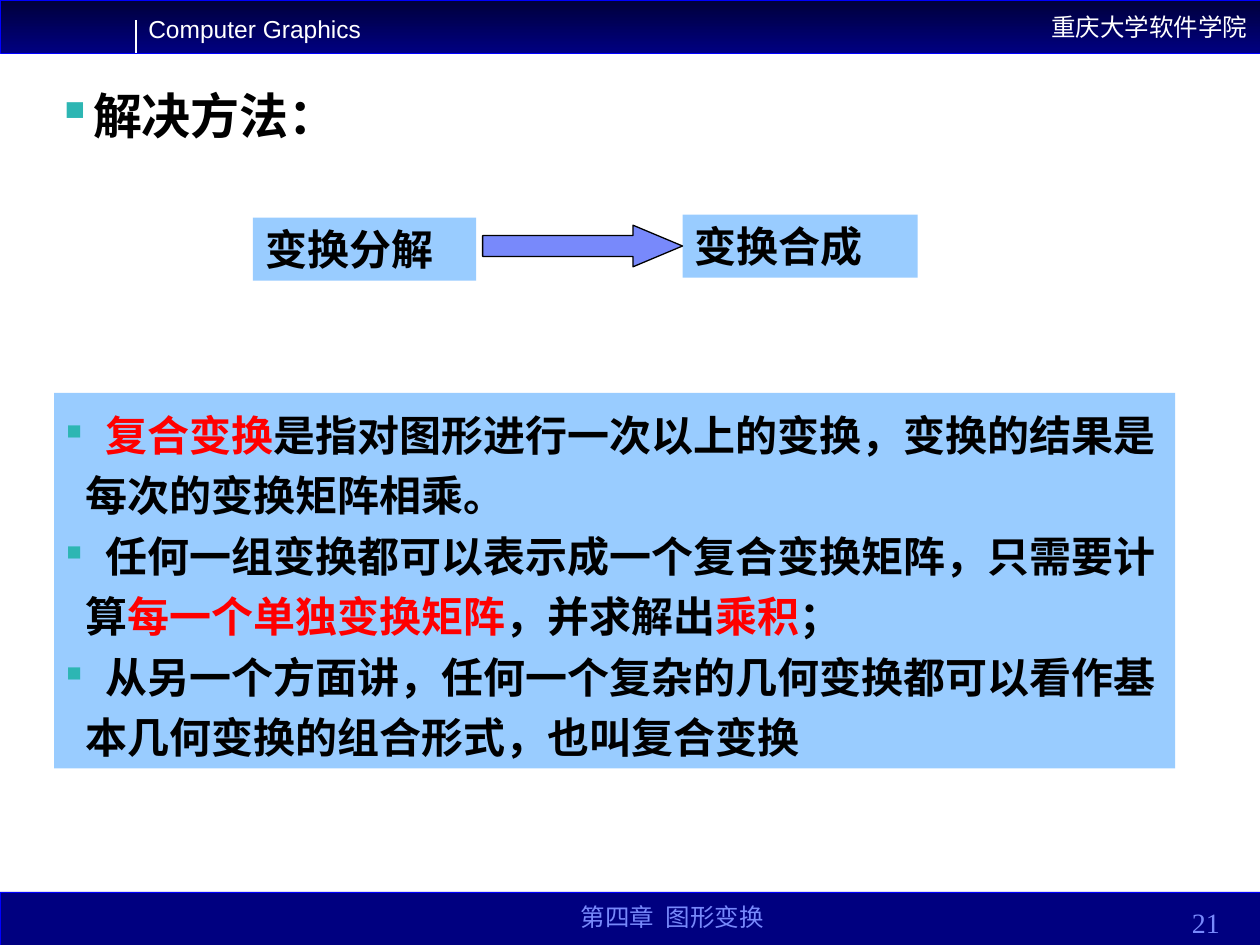
import pptx
import pptx.util
import pptx.dml.color
import pptx.enum.shapes
import pptx.enum.text
import pptx.oxml.ns
import lxml.etree

Cm = pptx.util.Cm
Pt = pptx.util.Pt
qn = pptx.oxml.ns.qn
SHAPES = pptx.enum.shapes.MSO_SHAPE
ALIGN = pptx.enum.text.PP_ALIGN
ANCHOR = pptx.enum.text.MSO_ANCHOR

COLORS = {
    "navy": "000080",
    "midnight": "00003B",
    "edge": "0000FF",
    "sky": "99CCFF",
    "violet": "7889FB",
    "teal": "2DB6B3",
    "red": "FF0000",
    "black": "000000",
    "white": "FFFFFF",
}
CJK = "Noto Sans CJK SC"
SERIF = "Times New Roman"

EXPLANATION = [
    (True, [(" 复合变换", "red"),
            ("是指对图形进行一次以上的变换，变换的结果是", "black")]),
    (False, [("每次的变换矩阵相乘。", "black")]),
    (True, [(" 任何一组变换都可以表示成一个复合变换矩阵，只需要计", "black")]),
    (False, [("算", "black"), ("每一个单独变换矩阵", "red"),
             ("，并求解出", "black"), ("乘积", "red"), ("；", "black")]),
    (True, [(" 从另一个方面讲，任何一个复杂的几何变换都可以看作基", "black")]),
    (False, [("本几何变换的组合形式，也叫复合变换", "black")]),
]


def rgb(name):
    return pptx.dml.color.RGBColor.from_string(COLORS[name])


def add_block(slide, box, fill, edge=None, width=0.25, kind=SHAPES.RECTANGLE):
    block = slide.shapes.add_shape(kind, *map(Cm, box))
    block.shadow.inherit = False
    block.fill.solid()
    block.fill.fore_color.rgb = rgb(fill)
    if edge:
        block.line.color.rgb = rgb(edge)
        block.line.width = Pt(width)
    else:
        block.line.fill.background()
    return block


def add_run(paragraph, text, size, font, color, bold=False):
    run = paragraph.add_run()
    run.text = text
    run.font.size = Pt(size)
    run.font.name = font
    run.font.bold = bold
    run.font.color.rgb = rgb(color)
    east_asian = lxml.etree.SubElement(run.font._element, qn("a:ea"))
    east_asian.set("typeface", CJK)


def set_frame(holder, anchor=ANCHOR.TOP):
    frame = holder.text_frame
    frame.word_wrap = True
    frame.vertical_anchor = anchor
    return frame


def write_line(holder, text, size, font, color, align=ALIGN.LEFT,
               anchor=ANCHOR.TOP, bold=False):
    paragraph = set_frame(holder, anchor).paragraphs[0]
    paragraph.alignment = align
    add_run(paragraph, text, size, font, color, bold)
    return paragraph


def add_label(slide, box, *args, **kwargs):
    label = slide.shapes.add_textbox(*map(Cm, box))
    return write_line(label, *args, **kwargs)


def set_indent(paragraph, left, bullet=None, percent=100):
    properties = paragraph._p.get_or_add_pPr()
    properties.set("marL", str(Cm(left)))
    properties.set("indent", str(-Cm(left) if bullet else 0))
    if bullet:
        color = lxml.etree.SubElement(properties, qn("a:buClr"))
        lxml.etree.SubElement(color, qn("a:srgbClr")).set("val", COLORS["teal"])
        size = lxml.etree.SubElement(properties, qn("a:buSzPct"))
        size.set("val", str(percent * 1000))
        lxml.etree.SubElement(properties, qn("a:buChar")).set("char", bullet)


def add_bands(slide):
    header = add_block(slide, (0, 0, 25.4, 1.07), "navy", "edge")
    header.fill.gradient()
    header.fill.gradient_angle = 270
    for stop, color in zip(header.fill.gradient_stops, ("midnight", "navy")):
        stop.color.rgb = rgb(color)
    write_line(header, "重庆大学软件学院", 14, "Arial", "white",
               ALIGN.RIGHT, ANCHOR.MIDDLE)
    add_block(slide, (0, 17.98, 25.4, 1.07), "navy", "edge")
    add_label(slide, (2.74, 0.15, 4.8, 0.86), "Computer Graphics",
              14, "Arial", "white")
    divider = slide.shapes.add_connector(
        pptx.enum.shapes.MSO_CONNECTOR.STRAIGHT,
        Cm(2.74), Cm(0.41), Cm(2.74), Cm(1.07))
    divider.line.color.rgb = rgb("white")
    divider.line.width = Pt(0.75)
    lxml.etree.SubElement(divider._element.spPr, qn("a:effectLst"))
    add_label(slide, (9.53, 17.93, 8.05, 0.97), "第四章  图形变换", 14, SERIF,
              "violet", ALIGN.CENTER, ANCHOR.BOTTOM)
    add_label(slide, (22.3, 18.08, 2.54, 0.97), "21", 16, SERIF,
              "violet", ALIGN.RIGHT, ANCHOR.BOTTOM)


def add_steps(slide):
    for text, box in (("变换分解", (5.1, 4.39, 4.5, 1.27)),
                      ("变换合成", (13.76, 4.33, 4.74, 1.27))):
        write_line(add_block(slide, box, "sky"), text, 24, SERIF, "black",
                   bold=True)
    arrow = add_block(slide, (9.73, 4.54, 4.03, 0.84), "violet", "black", 0.75,
                      SHAPES.RIGHT_ARROW)
    arrow.adjustments[0] = 0.5
    arrow.adjustments[1] = 1.19


def add_explanation(slide):
    panel = add_block(slide, (1.09, 7.92, 22.6, 7.57), "sky")
    frame = set_frame(panel, ANCHOR.MIDDLE)
    for index, (bulleted, pieces) in enumerate(EXPLANATION):
        paragraph = frame.paragraphs[0] if index == 0 else frame.add_paragraph()
        paragraph.alignment = ALIGN.LEFT
        paragraph.line_spacing = 1.2
        if bulleted:
            set_indent(paragraph, 0.6, "■", 50)
        else:
            set_indent(paragraph, 0.38)
        for text, color in pieces:
            add_run(paragraph, text, 24, CJK, color, True)


def main():
    deck = pptx.Presentation()
    deck.slide_width, deck.slide_height = Cm(25.4), Cm(19.05)
    slide = deck.slides.add_slide(deck.slide_layouts[6])
    add_bands(slide)
    add_steps(slide)
    add_explanation(slide)
    heading = add_label(slide, (0.89, 1.73, 21.59, 1.6), "解决方法：", 28,
                        "Arial", "black", bold=True)
    heading.line_spacing = 0.9
    set_indent(heading, 0.64, "▪")
    deck.save("out.pptx")


if __name__ == "__main__":
    main()
